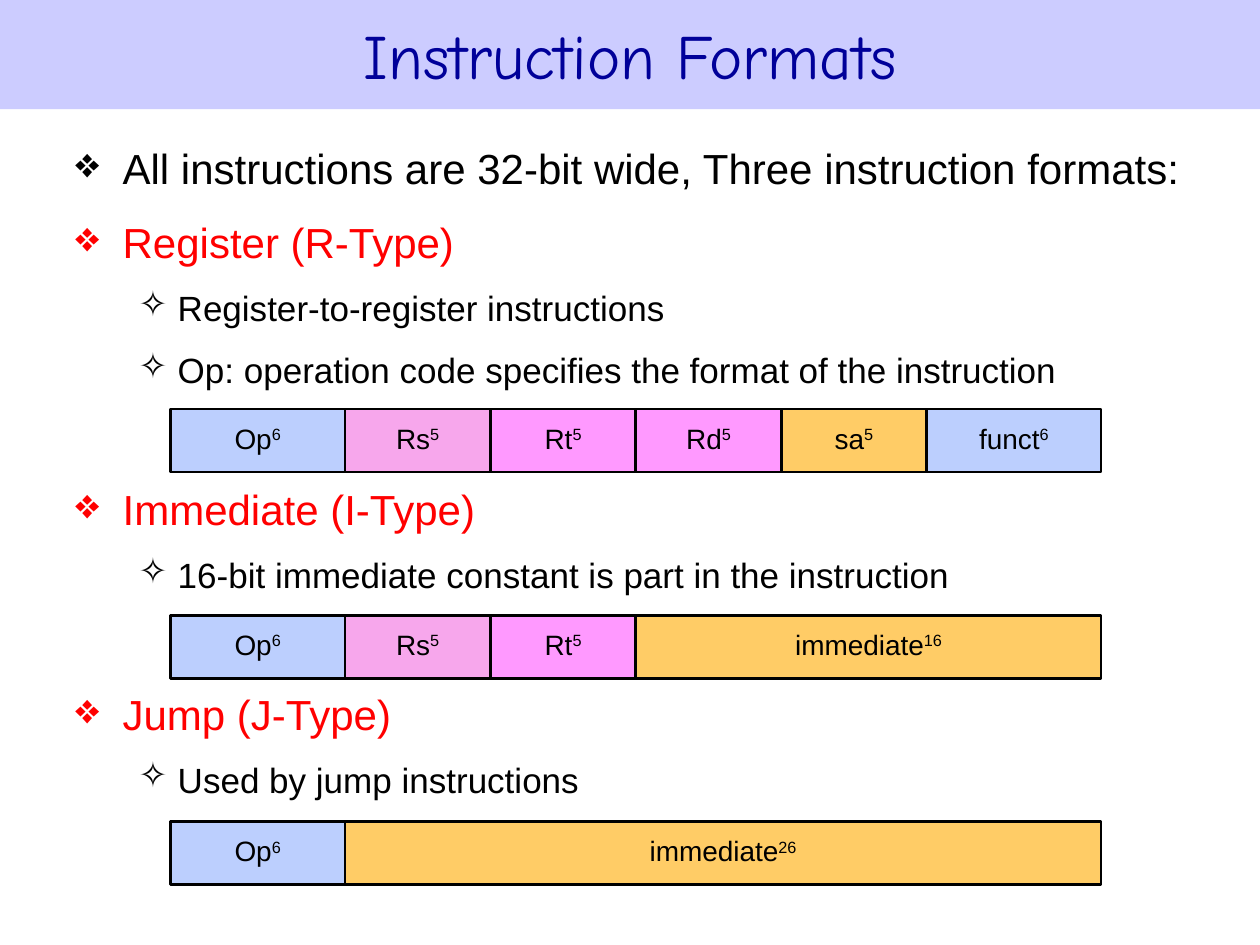
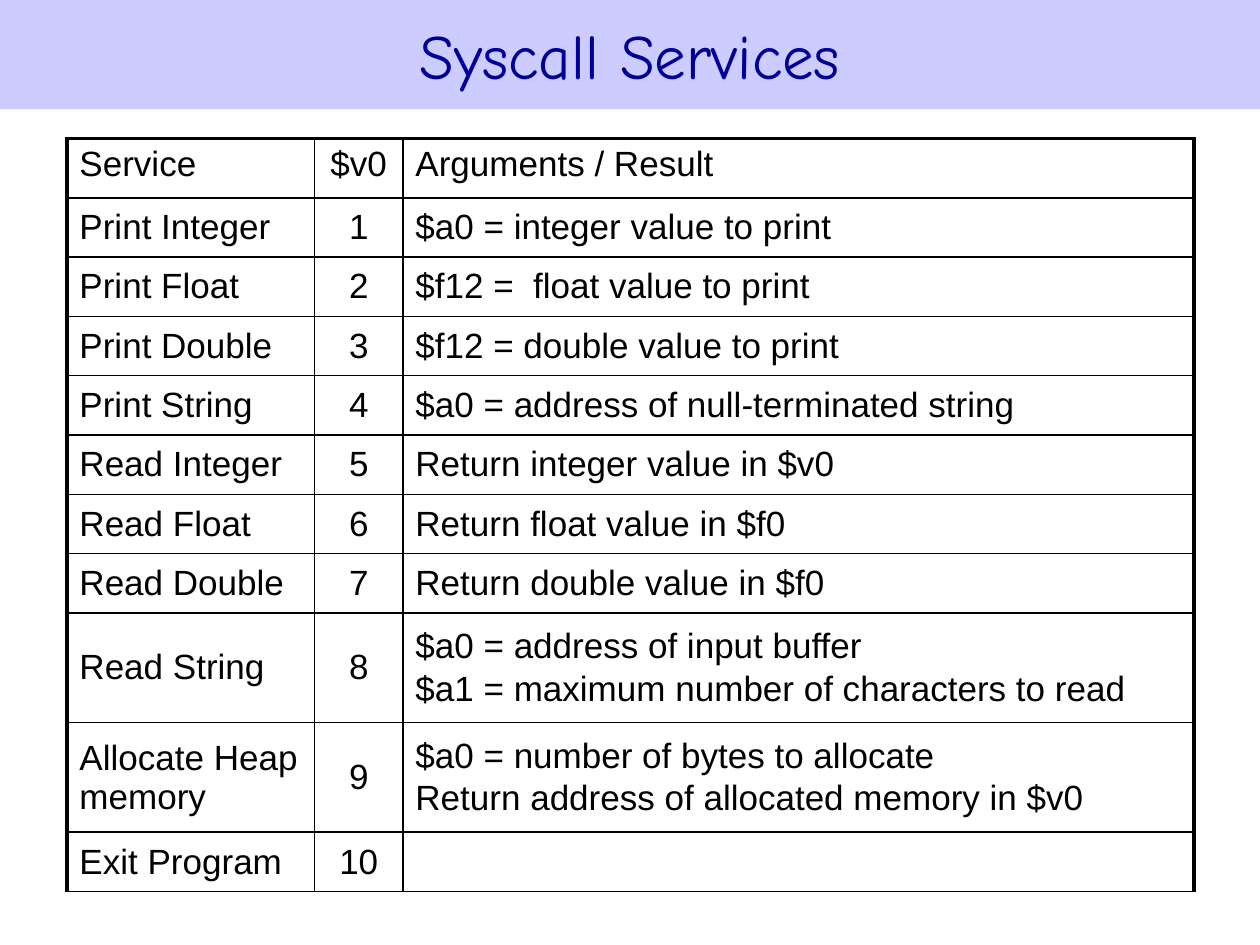
from lxml import etree
from pptx import Presentation
from pptx.dml.color import RGBColor
from pptx.enum.shapes import MSO_SHAPE
from pptx.enum.text import MSO_ANCHOR, PP_ALIGN
from pptx.oxml.ns import qn
from pptx.util import Pt

RECTANGLE = MSO_SHAPE.RECTANGLE
MIDDLE, TOP = MSO_ANCHOR.MIDDLE, MSO_ANCHOR.TOP
CENTER, LEFT = PP_ALIGN.CENTER, PP_ALIGN.LEFT

BLACK, RED, WHITE = "000000", "FF0000", "FFFFFF"
BAND, NAVY = "CCCCFF", "000099"
BLUE, ROSE, PINK, GOLD = "BCCFFE", "F7A7EC", "FF99FF", "FFCC66"


def color(hex_value):
    return RGBColor.from_string(hex_value)


def write(para, text, size, hex_value=BLACK, font="Arial", **layout):
    for name, value in layout.items():
        setattr(para, name, value)
    span = para.add_run()
    span.text = text
    for name, value in {"name": font, "size": Pt(size), "bold": False}.items():
        setattr(span.font, name, value)
    span.font.color.rgb = color(hex_value)
    return span


deck = Presentation()
deck.slide_width, deck.slide_height = Pt(720), Pt(540)

pages = []
for title in ("Instruction Formats", "Syscall Services"):
    page = deck.slides.add_slide(deck.slide_layouts[6])
    band = page.shapes.add_shape(RECTANGLE, 0, 0, Pt(720), Pt(62.4))
    band.shadow.inherit = False
    band.fill.solid()
    band.fill.fore_color.rgb = color(BAND)
    band.line.fill.background()
    band.text_frame.vertical_anchor = MIDDLE
    write(band.text_frame.paragraphs[0], title, 36, NAVY, "Comic Neue", alignment=CENTER)
    pages.append(page)
formats_page, syscall_page = pages

outline = [
    (0, "All instructions are 32-bit wide, Three instruction formats:", BLACK, 10.8),
    (0, "Register (R-Type)", RED, 10.8),
    (1, "Register-to-register instructions", BLACK, 9),
    (1, "Op: operation code specifies the format of the instruction", BLACK, 9),
    (0, "Immediate (I-Type)", RED, 50),
    (1, "16-bit immediate constant is part in the instruction", BLACK, 9),
    (0, "Jump (J-Type)", RED, 50),
    (1, "Used by jump instructions", BLACK, 9),
]
levels = [
    {"size": 24, "bullet": "❖", "margin": 27, "hanging": 27},
    {"size": 20, "bullet": "✧", "margin": 58.5, "hanging": 22.5},
]
body = formats_page.shapes.add_textbox(Pt(36), Pt(74.9), Pt(648), Pt(435.6))
body.text_frame.word_wrap = True
for index, (level, text, hex_value, gap) in enumerate(outline):
    style = levels[level]
    para = body.text_frame.add_paragraph() if index else body.text_frame.paragraphs[0]
    write(para, text, style["size"], hex_value, level=level, alignment=LEFT,
          line_spacing=1.1, space_before=Pt(gap))
    properties = para._p.get_or_add_pPr()
    properties.set("marL", str(Pt(style["margin"])))
    properties.set("indent", str(-Pt(style["hanging"])))
    etree.SubElement(properties, qn("a:buChar"), char=style["bullet"])

BIT_WIDTH = 16.62
op, rs, rt = ("Op", 6, BLUE), ("Rs", 5, ROSE), ("Rt", 5, PINK)
formats = [
    [op, rs, rt, ("Rd", 5, PINK), ("sa", 5, GOLD), ("funct", 6, BLUE)],
    [op, rs, rt, ("immediate", 16, GOLD)],
    [op, ("immediate", 26, GOLD)],
]
for row, fields in enumerate(formats):
    group = formats_page.shapes.add_group_shape()
    left = 97.4
    for name, bits, fill in fields:
        width = bits * BIT_WIDTH
        box = group.shapes.add_shape(RECTANGLE, Pt(left), Pt(233.8 + row * 117.8), Pt(width), Pt(36))
        left += width
        box.shadow.inherit = False
        box.fill.solid()
        box.fill.fore_color.rgb = color(fill)
        box.line.color.rgb = color(BLACK)
        box.line.width = Pt(1.5)
        frame = {"margin_left": 0, "margin_right": 0, "margin_top": Pt(7.2),
                 "margin_bottom": Pt(7.2), "vertical_anchor": MIDDLE, "word_wrap": True}
        for key, value in frame.items():
            setattr(box.text_frame, key, value)
        para = box.text_frame.paragraphs[0]
        write(para, name, 16, alignment=CENTER, line_spacing=0.85)
        exponent = write(para, str(bits), 16)
        exponent.font._element.set("baseline", "30000")

services = [
    ("Service", "$v0", "Arguments / Result"),
    ("Print Integer", "1", "$a0 = integer value to print"),
    ("Print Float", "2", "$f12 =  float value to print"),
    ("Print Double", "3", "$f12 = double value to print"),
    ("Print String", "4", "$a0 = address of null-terminated string"),
    ("Read Integer", "5", "Return integer value in $v0"),
    ("Read Float", "6", "Return float value in $f0"),
    ("Read Double", "7", "Return double value in $f0"),
    ("Read String", "8", "$a0 = address of input buffer\n$a1 = maximum number of characters to read"),
    ("Allocate Heap memory", "9", "$a0 = number of bytes to allocate\nReturn address of allocated memory in $v0"),
    ("Exit Program", "10", ""),
]
holder = syscall_page.shapes.add_table(len(services), 3, Pt(38.2), Pt(79.2), Pt(644), Pt(430.6))
table = holder.table
table.first_row = table.horz_banding = False
for column, width in zip(table.columns, (141.6, 50.4, 452)):
    column.width = Pt(width)
for row, texts in enumerate(services):
    table.rows[row].height = Pt(62.7 if "\n" in texts[2] else 33.9)
    for column, text in enumerate(texts):
        cell = table.cell(row, column)
        cell.vertical_anchor = MIDDLE if row else TOP
        borders = {"a:lnL": 1 if column else 2.25, "a:lnR": 2.25 if column == 2 else 1,
                   "a:lnT": 1 if row else 2.25, "a:lnB": 1}
        for tag, weight in borders.items():
            line = etree.SubElement(cell._tc.get_or_add_tcPr(), qn(tag), w=str(Pt(weight)))
            etree.SubElement(etree.SubElement(line, qn("a:solidFill")), qn("a:srgbClr"), val=BLACK)
        cell.fill.solid()
        cell.fill.fore_color.rgb = color(WHITE)
        for index, line_text in enumerate(text.splitlines()):
            para = cell.text_frame.add_paragraph() if index else cell.text_frame.paragraphs[0]
            write(para, line_text, 20, alignment=CENTER if column == 1 else LEFT,
                  space_before=Pt(2 if index else 0))

deck.save("out.pptx")
